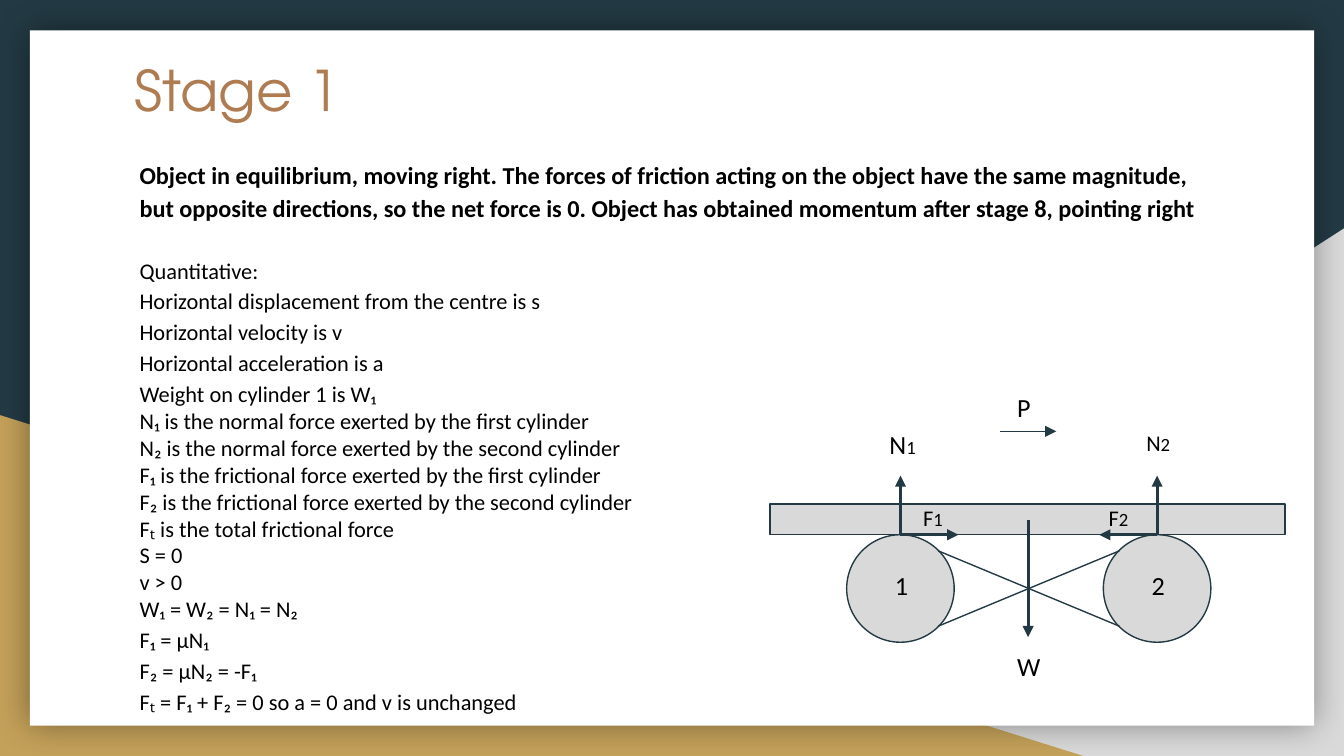
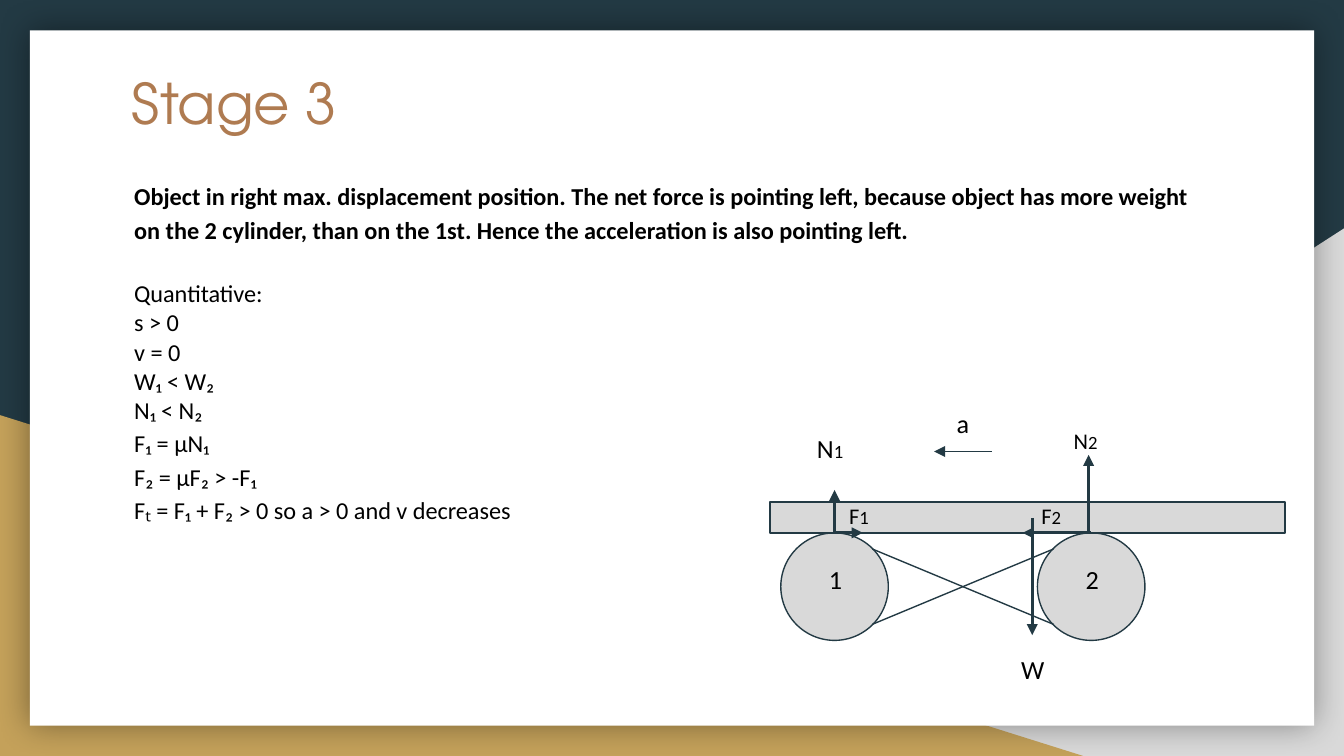
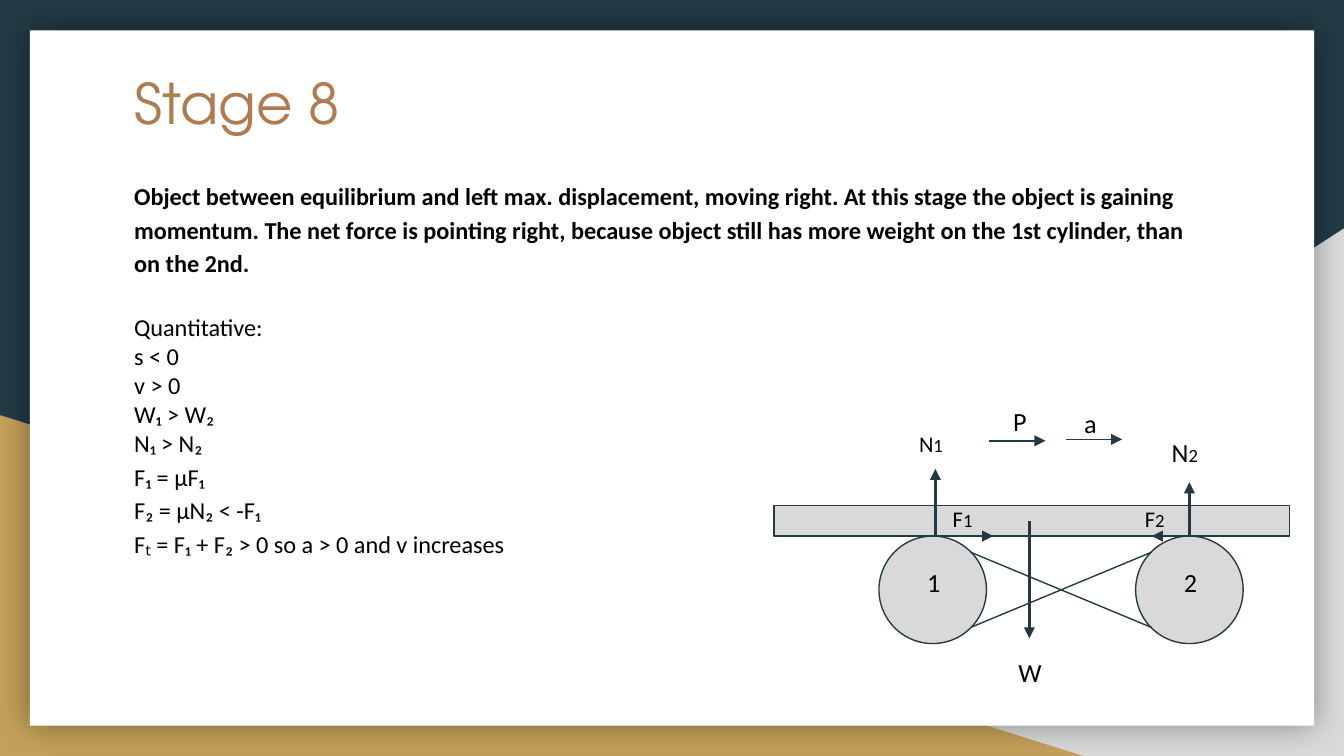
"""Build three slides on a beam that rests on two turning cylinders."""
from lxml.etree import SubElement
from pptx import Presentation
from pptx.dml.color import RGBColor
from pptx.enum.shapes import MSO_CONNECTOR, MSO_SHAPE
from pptx.oxml.ns import qn
from pptx.util import Pt

OVAL, RECT, WEDGE = MSO_SHAPE.OVAL, MSO_SHAPE.RECTANGLE, MSO_SHAPE.RIGHT_TRIANGLE
STRAIGHT = MSO_CONNECTOR.STRAIGHT
NAVY = RGBColor(0x23, 0x3A, 0x44)
GREY = RGBColor(0xD9, 0xD9, 0xD9)
GOLD = RGBColor(0xC4, 0xA1, 0x5A)
BROWN = RGBColor(0xAF, 0x7B, 0x51)
WHITE = RGBColor(0xFF, 0xFF, 0xFF)
BLACK = RGBColor(0, 0, 0)
HEAD, BODY = "TeX Gyre Adventor", "Calibri"
THIN, THICK = 0.75, 1.5
DISC, GAP = 57.6, 137.5
BEAM_W, BEAM_H = 276, 16.5

STAGES = [
    {
        "title": ("Stage 1", 64.8, 22.3),
        "body": (67.7, 76.3, 12),
        "lead": "Object in equilibrium, moving right. The forces of friction acting on the object have the same magnitude, but opposite directions, so the net force is 0. Object has obtained momentum after stage 8, pointing right",
        "facts": [
            ["Quantitative:", "Horizontal displacement from the centre is s",
             "Horizontal velocity is v", "Horizontal acceleration is a",
             "Weight on cylinder 1 is W₁"],
            ["N₁ is the normal force exerted by the first cylinder",
             "N₂ is the normal force exerted by the second cylinder",
             "F₁ is the frictional force exerted by the first cylinder",
             "F₂ is the frictional force exerted by the second cylinder",
             "Fₜ is the total frictional force",
             "S = 0", "v > 0", "W₁ = W₂ = N₁ = N₂"],
            ["F₁ = μN₁", "F₂ = μN₂ = -F₁",
             "Fₜ = F₁ + F₂ = 0 so a = 0 and v is unchanged"],
        ],
        "beam": (412.5, 270), "left": 482.4, "digit": 11.5,
        "weight": (550.8, 341.3),
        "normal": [(482.4, 31.7, 14, 469.4, 222.5), (619.9, 31.7, 12, 607, 222.5)],
        "rub": [(31, 487.4), (-31, 586.8)],
        "moves": [("P", 537.8, 202.3, 535.7, 231.1, 30.2)],
    },
    {
        "title": ("Stage 3", 63.4, 29.5),
        "body": (64.8, 87.8, 13),
        "lead": "Object in right max. displacement position. The net force is pointing left, because object has more weight on the 2 cylinder, than on the 1st. Hence the acceleration is also pointing left.",
        "facts": [
            ["Quantitative:"],
            ["s > 0", "v = 0", "W₁ < W₂", "N₁ < N₂"],
            ["F₁ = μN₁", "F₂ = μF₂ > -F₁",
             "Fₜ = F₁ + F₂ > 0 so a > 0 and v decreases"],
        ],
        "beam": (412.5, 269), "left": 447.1, "digit": 9.1,
        "weight": (553, 342.7),
        "normal": [(447.1, 23, 14, 430.6, 224.6), (583.2, 41.8, 12, 568.1, 221.8)],
        "rub": [(15.1, 447.8), (-36.7, 550.8)],
        "moves": [("a", 505.4, 211, 531.4, 241.9, -31)],
    },
    {
        "title": ("Stage 8", 64.8, 29.5),
        "body": (64.8, 87.8, 13),
        "lead": "Object between equilibrium and left max. displacement, moving right. At this stage the object is gaining momentum. The net force is pointing right, because object still has more weight on the 1st cylinder, than on the 2nd.",
        "facts": [
            ["Quantitative:"],
            ["s < 0", "v > 0", "W₁ > W₂", "N₁ > N₂"],
            ["F₁ = μF₁", "F₂ = μN₂ < -F₁",
             "Fₜ = F₁ + F₂ > 0 so a > 0 and v increases"],
        ],
        "beam": (414.7, 270.7), "left": 499.7, "digit": 9.1,
        "weight": (551.5, 344.2),
        "normal": [(501.1, 36, 12, 485.3, 223.2), (637.2, 28.8, 14, 620.6, 226.8)],
        "rub": [(32.4, 503.3), (-20.2, 606.2)],
        "moves": [("P", 535.7, 210.2, 529.9, 236.2, 30.2),
                  ("a", 573.8, 211, 571, 235.4, 30.2)],
    },
]


def add_form(slide, kind, box, fill, edge=None):
    form = slide.shapes.add_shape(kind, *map(Pt, box))
    form.fill.solid()
    form.fill.fore_color.rgb = fill
    if edge:
        form.line.color.rgb = edge
        form.line.width = Pt(THIN)
    else:
        form.line.fill.background()
    form.shadow.inherit = False
    return form


def add_line(slide, start, end, width, arrow=True):
    line = slide.shapes.add_connector(STRAIGHT, *map(Pt, start + end))
    line.line.color.rgb = NAVY
    line.line.width = Pt(width)
    props = line._element.spPr
    if arrow:
        SubElement(props.find(qn("a:ln")), qn("a:tailEnd"), type="triangle")
    SubElement(props, qn("a:effectLst"))


def add_box(slide, box):
    frame = slide.shapes.add_textbox(*map(Pt, box)).text_frame
    frame.word_wrap = True
    frame.margin_left = frame.margin_right = Pt(7.2)
    frame.margin_top = frame.margin_bottom = Pt(7.2)
    return frame


def add_run(para, text, size, color=BLACK, face=BODY, bold=False):
    run = para.add_run()
    run.text = text
    font = run.font
    font.name, font.size, font.bold = face, Pt(size), bold
    font.color.rgb = color


def add_label(slide, x, y, text, size=14, sub="", width=33, height=31.7):
    para = add_box(slide, (x, y, width, height)).paragraphs[0]
    add_run(para, text, size)
    if sub:
        add_run(para, sub, 10)


def add_frame(slide):
    slide.background.fill.solid()
    slide.background.fill.fore_color.rgb = NAVY
    wedge = add_form(slide, WEDGE, (282.2, 122.4, 437.8, 282.6), GREY)
    wedge._element.spPr.xfrm.set("flipH", "1")
    add_form(slide, WEDGE, (0, 222.4, 580.3, 182.6), GOLD)
    page = add_form(slide, RECT, (16, 16.2, 688, 372.5), WHITE)
    glow = SubElement(page._element.spPr.find(qn("a:effectLst")), qn("a:outerShdw"),
                      blurRad=str(Pt(18)), dist="0", dir="0", algn="ctr", rotWithShape="0")
    tint = SubElement(glow, qn("a:srgbClr"), val=str(BLACK))
    SubElement(tint, qn("a:alpha"), val="40000")


def add_text(slide, stage):
    title, x, y = stage["title"]
    frame = add_box(slide, (x, y, 591, 75))
    add_run(frame.paragraphs[0], title, 30, BROWN, HEAD)
    x, y, size = stage["body"]
    frame = add_box(slide, (x, y, 591, 280))
    lead = frame.paragraphs[0]
    lead.line_spacing = 1.15
    add_run(lead, stage["lead"], 13, bold=True)
    for group, space in zip(stage["facts"], (1.15, 1, 1.15)):
        for fact in group:
            para = frame.add_paragraph()
            para.line_spacing = space
            add_run(para, fact, size)
    frame.paragraphs[1].space_before = Pt(16)


def add_rig(slide, stage):
    x, y = stage["beam"]
    base = y + BEAM_H
    mids = [stage["left"], stage["left"] + GAP]
    for mid in mids:
        add_form(slide, OVAL, (mid - DISC / 2, base, DISC, DISC), GREY, NAVY)
    add_form(slide, RECT, (x, y, BEAM_W, BEAM_H), GREY, NAVY)
    high, low = base + 8.6, base + 49
    for start, end in ((low, high), (high, low)):
        add_line(slide, (mids[0] + 20.2, start), (mids[1] - 20.2, end), THIN, False)
    pull, below = stage["weight"]
    add_line(slide, (pull, base - 8), (pull, base + 54.8), THICK)
    add_label(slide, pull - 13, below, "W", width=26.6)
    sides = zip("12", mids, stage["normal"], stage["rub"])
    for sub, mid, (up, rise, size, nx, ny), (push, fx) in sides:
        add_line(slide, (up, base), (up, base - rise), THICK)
        add_label(slide, nx, ny, "N", size, sub)
        add_line(slide, (mid, base), (mid + push, base), THICK)
        add_label(slide, fx, base - 23.8, "F", 12, sub, 30.2, 23.8)
        add_label(slide, mid - 10.1, base + stage["digit"], sub, width=20.2, height=27.4)
    for name, tx, ty, start, level, span in stage["moves"]:
        add_label(slide, tx, ty, name)
        add_line(slide, (start, level), (start + span, level), THIN)


def main():
    deck = Presentation()
    deck.slide_width, deck.slide_height = Pt(720), Pt(405)
    for stage in STAGES:
        slide = deck.slides.add_slide(deck.slide_layouts[6])
        add_frame(slide)
        add_text(slide, stage)
        add_rig(slide, stage)
    deck.save("out.pptx")


if __name__ == "__main__":
    main()
